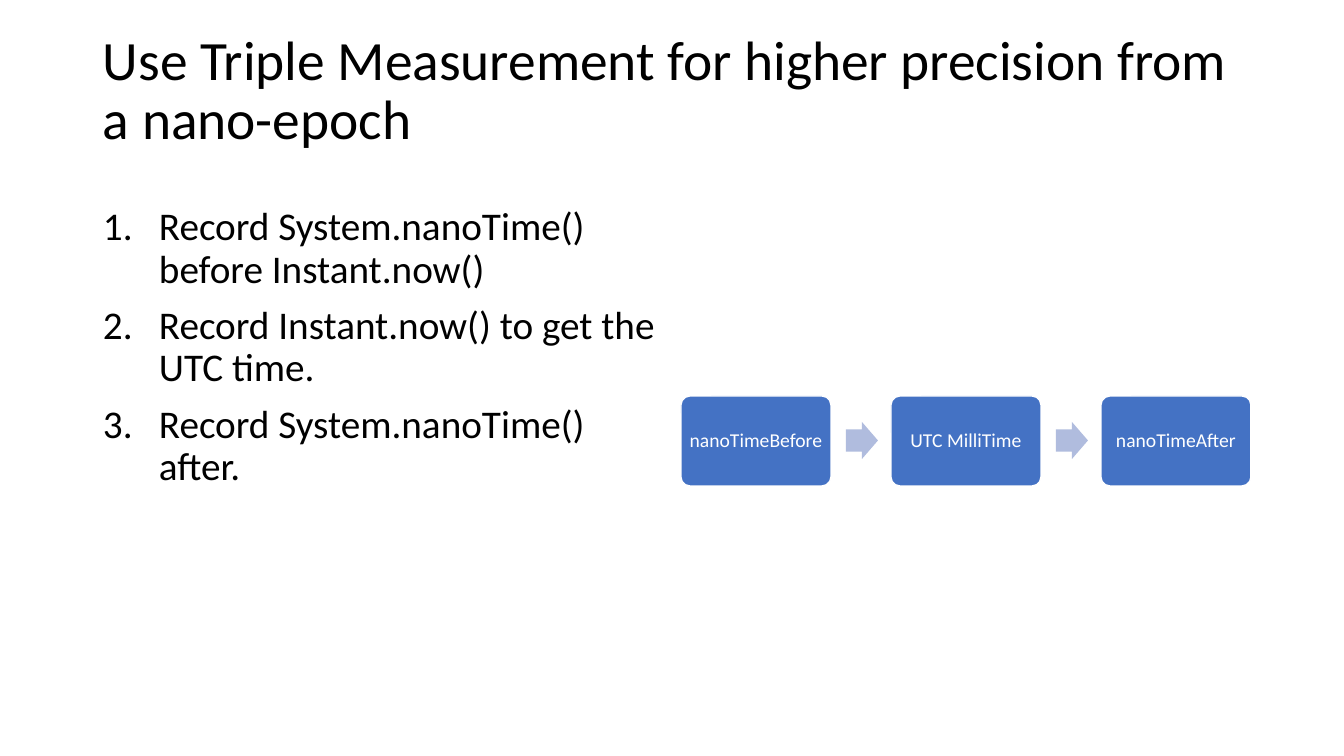
from dataclasses import dataclass

from lxml import etree
from pptx import Presentation
from pptx import util as u
from pptx.dml.color import RGBColor
from pptx.enum import shapes, text
from pptx.oxml.ns import qn

SCALE = 914400 / 100.8
COLORS = {"text": "000000", "box": "4472C4", "white": "FFFFFF", "arrow": "B0BCDE"}
PITCH = 210
INDENT = 56


@dataclass
class Block:
    x: int
    y: int
    w: int
    h: int


def px(n: int) -> u.Emu:
    return u.Emu(round(n * SCALE))


def rect(b: Block) -> tuple:
    return px(b.x), px(b.y), px(b.w), px(b.h)


def rgb(name: str) -> RGBColor:
    return RGBColor.from_string(COLORS[name])


def write(sp, lines: list[str], *, size: float, color: str = "text",
          align=text.PP_ALIGN.LEFT, anchor=text.MSO_ANCHOR.TOP,
          inset: tuple[int, int] = (10, 5), before: int = 0,
          numbered: bool = False) -> None:
    tf = sp.text_frame
    tf.word_wrap = True
    tf.vertical_anchor = anchor
    tf.margin_left = tf.margin_right = px(inset[0])
    tf.margin_top = tf.margin_bottom = px(inset[1])
    for i, line in enumerate(lines):
        p = tf.add_paragraph() if i else tf.paragraphs[0]
        p.alignment = align
        p.line_spacing = 0.9
        p.space_before = u.Pt(before)
        r = p.add_run()
        r.text = line
        r.font.name = "Calibri"
        r.font.size = u.Pt(size)
        r.font.color.rgb = rgb(color)
        if numbered:
            pPr = p._p.get_or_add_pPr()
            pPr.set("marL", str(px(INDENT)))
            pPr.set("indent", str(-px(INDENT)))
            etree.SubElement(pPr, qn("a:buFont"), typeface="+mj-lt")
            etree.SubElement(pPr, qn("a:buAutoNum"), type="arabicPeriod")


def add_shape(s, kind, b: Block, fill: str, adj: list[float], line: str | None = None):
    sp = s.shapes.add_shape(kind, *rect(b))
    sp.shadow.inherit = False
    for i, value in enumerate(adj):
        sp.adjustments[i] = value
    sp.fill.solid()
    sp.fill.fore_color.rgb = rgb(fill)
    if line:
        sp.line.color.rgb = rgb(line)
        sp.line.width = u.Pt(1)
    else:
        sp.line.fill.background()
    return sp


prs = Presentation()
prs.slide_width, prs.slide_height = px(1344), px(756)
s = prs.slides.add_slide(prs.slide_layouts[6])

title = s.shapes.add_textbox(*rect(Block(93, 40, 1159, 104)))
write(title, ["Use Triple Measurement for higher precision from a nano-epoch"],
      size=39.6, anchor=text.MSO_ANCHOR.MIDDLE)

steps = s.shapes.add_textbox(*rect(Block(93, 202, 572, 480)))
write(steps, ["Record System.nanoTime() before Instant.now()",
              "Record Instant.now() to get the UTC time.",
              "Record System.nanoTime() after."],
      size=28, before=10, numbered=True)

labels = ["nanoTimeBefore", "UTC MilliTime", "nanoTimeAfter"]
for i, label in enumerate(labels):
    if i:
        add_shape(s, shapes.MSO_SHAPE.RIGHT_ARROW,
                  Block(846 + (i - 1) * PITCH, 422, 32, 37), "arrow", [0.6, 0.5])
    box = add_shape(s, shapes.MSO_SHAPE.ROUNDED_RECTANGLE,
                    Block(681 + i * PITCH, 396, 150, 90), "box", [0.1], "white")
    write(box, [label], size=14, color="white", align=text.PP_ALIGN.CENTER,
          anchor=text.MSO_ANCHOR.MIDDLE, inset=(6, 6))

prs.save("out.pptx")
